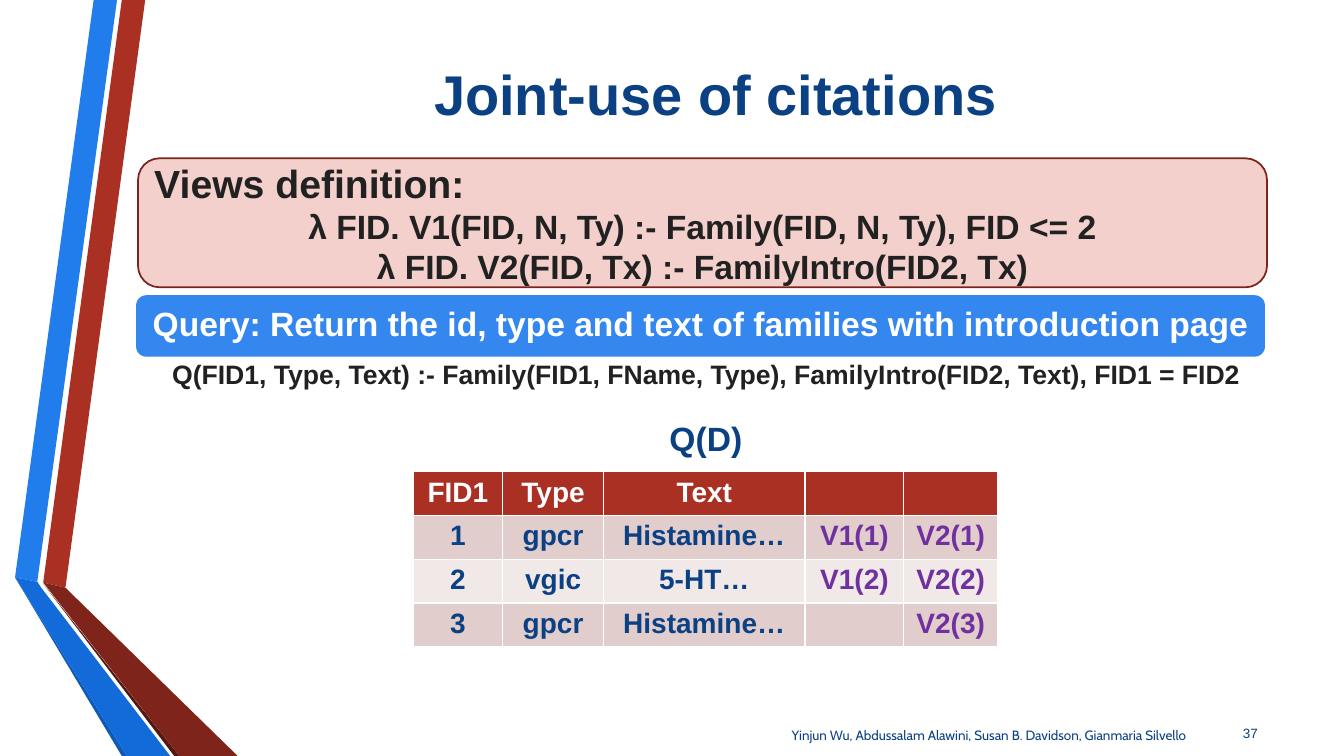
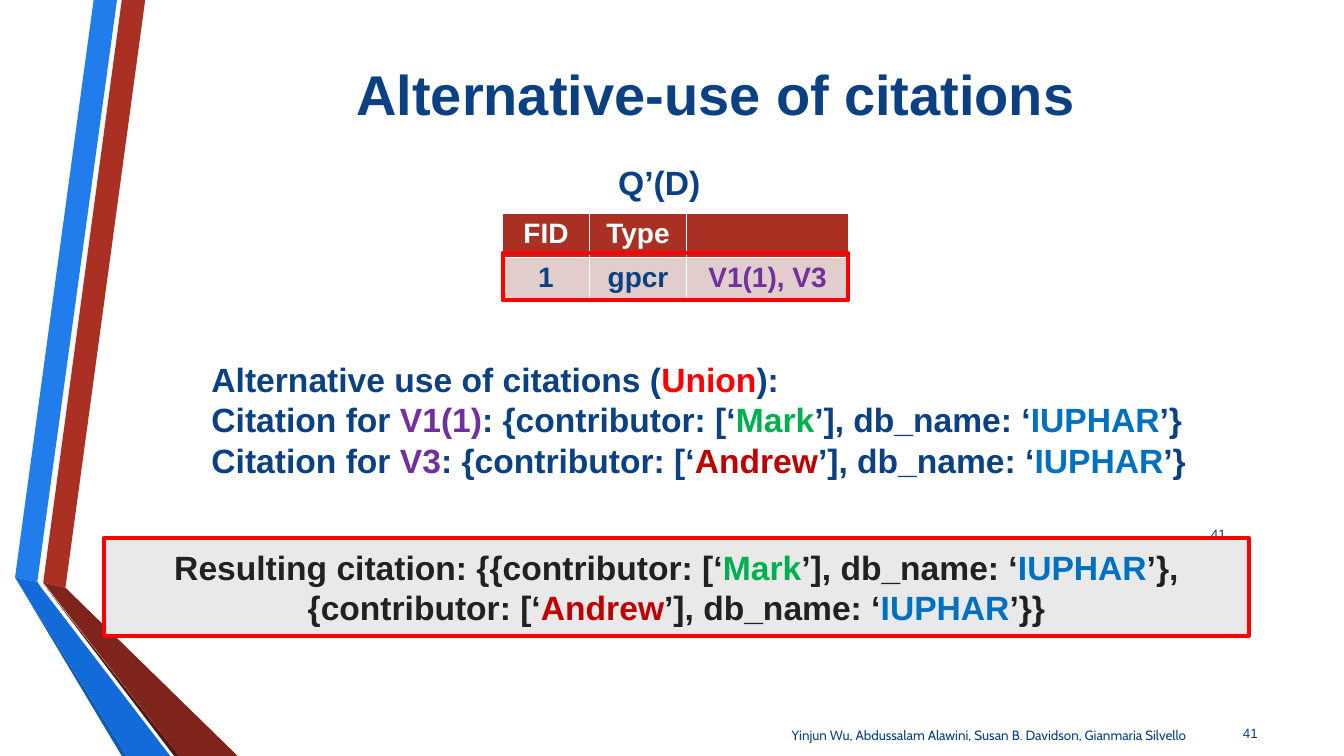
from dataclasses import dataclass

from pptx import Presentation
from pptx.dml.color import RGBColor
from pptx.enum.shapes import MSO_SHAPE
from pptx.enum.text import MSO_ANCHOR, PP_ALIGN
from pptx.util import Cm, Pt

RECT, ROUND = MSO_SHAPE.RECTANGLE, MSO_SHAPE.ROUNDED_RECTANGLE
LEFT, MID, RIGHT = PP_ALIGN.LEFT, PP_ALIGN.CENTER, PP_ALIGN.RIGHT
TOP, CENTER = MSO_ANCHOR.TOP, MSO_ANCHOR.MIDDLE
RGB = RGBColor.from_string


@dataclass(frozen=True)
class Theme:
    navy: RGBColor = RGB("0B4183")
    ink: RGBColor = RGB("212121")
    white: RGBColor = RGB("FFFFFF")
    brick: RGBColor = RGB("A93023")
    rust: RGBColor = RGB("7F241A")
    umber: RGBColor = RGB("541812")
    azure: RGBColor = RGB("227DEC")
    blue: RGBColor = RGB("126BD8")
    cobalt: RGBColor = RGB("0F5AB6")
    query: RGBColor = RGB("3387EE")
    blush: RGBColor = RGB("F4D0CC")
    edge: RGBColor = RGB("7D241A")
    odd: RGBColor = RGB("E2CDCD")
    even: RGBColor = RGB("F1E8E8")
    gray: RGBColor = RGB("E9E9E9")
    red: RGBColor = RGB("FF0000")
    purple: RGBColor = RGB("7030A0")
    green: RGBColor = RGB("00B050")
    crimson: RGBColor = RGB("C00000")
    sky: RGBColor = RGB("0070C0")
    face: str = "Arial"
    foot: str = "Cabin"
    title: float = 40
    head: float = 28
    body: float = 24
    cell: float = 20
    rule: float = 19
    small: float = 9.6


T = Theme()


def add_box(slide, at, paras=(), size=T.body, color=T.navy, align=MID, anchor=CENTER,
            bold=True, face=T.face, kind=None, fill=None, line=None, weight=3):
    """Add a text box, or a shape if kind is given; a run is text or (text, color)."""
    place = [Cm(v) for v in at]
    if kind is None:
        box = slide.shapes.add_textbox(*place)
    else:
        box = slide.shapes.add_shape(kind, *place)
        box.shadow.inherit = False
        if fill is None:
            box.fill.background()
        else:
            box.fill.solid()
            box.fill.fore_color.rgb = fill
        if line is None:
            box.line.fill.background()
        else:
            box.line.color.rgb = line
            box.line.width = Pt(weight)
    frame = box.text_frame
    frame.word_wrap = True
    frame.vertical_anchor = anchor
    for i, runs in enumerate(paras):
        para = frame.add_paragraph() if i else frame.paragraphs[0]
        para.alignment = align
        font = para.font
        font.size, font.bold, font.name = Pt(size), bold, face
        font.color.rgb = color
        for part in [runs] if isinstance(runs, str) else runs:
            text, tint = (part, None) if isinstance(part, str) else part
            run = para.add_run()
            run.text = text
            if tint is not None:
                run.font.color.rgb = tint
    return box


def add_grid(slide, left, top, widths, rows):
    """Add a table with a brick header; view names are purple."""
    high = Cm(1.04)
    grid = slide.shapes.add_table(len(rows), len(widths), Cm(left), Cm(top),
                                  Cm(sum(widths)), high * len(rows)).table
    for col, width in zip(grid.columns, widths):
        col.width = Cm(width)
    for r, row in enumerate(rows):
        grid.rows[r].height = high
        for c, text in enumerate(row):
            cell = grid.cell(r, c)
            cell.fill.solid()
            cell.fill.fore_color.rgb = T.brick if r == 0 else T.odd if r % 2 else T.even
            cell.text = text
            para = cell.text_frame.paragraphs[0]
            para.alignment = MID
            font = para.font
            font.size, font.bold, font.name = Pt(T.cell), True, T.face
            font.color.rgb = (T.white if r == 0 else
                              T.purple if text.startswith("V") else T.navy)


deck = Presentation()
deck.slide_width, deck.slide_height = Cm(33.87), Cm(19.05)

# Shared parts: ribbons, title, footer, number
ribbons = [
    (T.brick, [(1.09, 14.68), (1.65, 14.81), (3.66, 0), (3.07, 0)]),
    (T.azure, [(2.95, 0), (2.36, 0), (0.38, 14.55), (0.94, 14.66)]),
    (T.cobalt, [(0.38, 14.55), (3.07, 19.05), (3.2, 19.05)]),
    (T.umber, [(1.09, 14.71), (4.39, 19.05), (4.52, 19.05)]),
    (T.rust, [(1.09, 14.68), (4.52, 19.05), (5.99, 19.05), (1.65, 14.81)]),
    (T.blue, [(4.29, 19.05), (1.04, 14.81), (0.94, 14.66), (0.38, 14.55), (3.2, 19.05)]),
]
authors = "Yinjun Wu, Abdussalam Alawini, Susan B. Davidson, Gianmaria Silvello"
slides = []
for title, number in [("Joint-use of citations", "37"),
                      ("Alternative-use of citations", "41")]:
    slide = deck.slides.add_slide(deck.slide_layouts[6])
    slides.append(slide)
    for color, points in ribbons:
        start, *rest = [(Cm(x), Cm(y)) for x, y in points]
        path = slide.shapes.build_freeform(*start)
        path.add_line_segments(rest)
        band = path.convert_to_shape()
        band.shadow.inherit = False
        band.fill.solid()
        band.fill.fore_color.rgb = color
        band.line.fill.background()
    add_box(slide, (4.11, 0.53, 27.84, 3.63), [title], T.title)
    add_box(slide, (19.41, 18.06, 11.02, 0.91), [authors], T.small, bold=False, face=T.foot)
    add_box(slide, (30.43, 17.96, 1.52, 1.02), [number], T.small, align=RIGHT, bold=False)
joint, other = slides

# Joint use: views, query and its rule
views = add_box(joint, (3.48, 3.99, 28.45, 3.25),
                ["Views definition:",
                 "λ FID. V1(FID, N, Ty) :- Family(FID, N, Ty), FID <= 2",
                 "λ FID. V2(FID, Tx) :- FamilyIntro(FID2, Tx)"],
                color=T.ink, kind=ROUND, fill=T.blush, line=T.edge, weight=1.25)
head = views.text_frame.paragraphs[0]
head.alignment = LEFT
head.font.size = Pt(T.head)
query = add_box(joint, (3.43, 7.44, 28.45, 1.55),
                ["Query: Return the id, type and text of families with introduction page"],
                color=T.white, kind=ROUND, fill=T.query)
rule = add_box(joint, (3.43, 9.02, 28.45, 1.3),
               ["Q(FID1, Type, Text) :- Family(FID1, FName, Type), "
                "FamilyIntro(FID2, Text), FID1 = FID2"],
               T.rule, T.ink, LEFT, TOP)
for box, left, right in [(query, 0.15, 0.15), (rule, 0.91, 0.38)]:
    frame = box.text_frame
    frame.margin_left, frame.margin_right = Cm(left), Cm(right)
    frame.margin_top = frame.margin_bottom = Cm(0.08)
    frame.paragraphs[0].line_spacing = 0.9

# Joint use: result table
name = add_box(joint, (16.61, 10.41, 2.36, 1.27), ["Q(D)"], anchor=TOP)
name.text_frame.word_wrap = False
add_grid(joint, 10.41, 11.89, [2.26, 2.54, 5.08, 2.49, 2.36],
         [["FID1", "Type", "Text", "", ""],
          ["1", "gpcr", "Histamine…", "V1(1)", "V2(1)"],
          ["2", "vgic", "5-HT…", "V1(2)", "V2(2)"],
          ["3", "gpcr", "Histamine…", "", "V2(3)"]])

# Alternative use: result table with its row ringed
add_grid(other, 12.67, 5.38, [2.18, 2.46, 4.07],
         [["FID", "Type", ""], ["1", "gpcr", "V1(1), V3"]])
add_box(other, (12.67, 6.38, 8.71, 1.19), kind=RECT, line=T.red)
name = add_box(other, (15.32, 3.96, 2.59, 1.27), ["Q’(D)"], anchor=TOP)
name.text_frame.word_wrap = False

# Alternative use: citations and their union
mark, andrew = [
    ["{contributor: [‘", (who, color), "’], db_name: ‘", ("IUPHAR", T.sky), "’}"]
    for who, color in [("Mark", T.green), ("Andrew", T.crimson)]
]
add_box(other, (5.08, 8.92, 25.81, 3.33),
        [["Alternative use of citations (", ("Union", T.red), "):"],
         ["Citation for ", ("V1(1)", T.purple), ": ", *mark],
         ["Citation for ", ("V3", T.purple), ": ", *andrew]],
        align=LEFT, anchor=TOP)
add_box(other, (29.62, 12.95, 1.52, 1.02), ["41"], T.small, align=RIGHT, bold=False)
add_box(other, (2.62, 13.56, 28.85, 2.46),
        [["Resulting citation: {", *mark, ", ", *andrew, "}"]],
        color=T.ink, kind=RECT, fill=T.gray, line=T.red)

deck.save("out.pptx")
